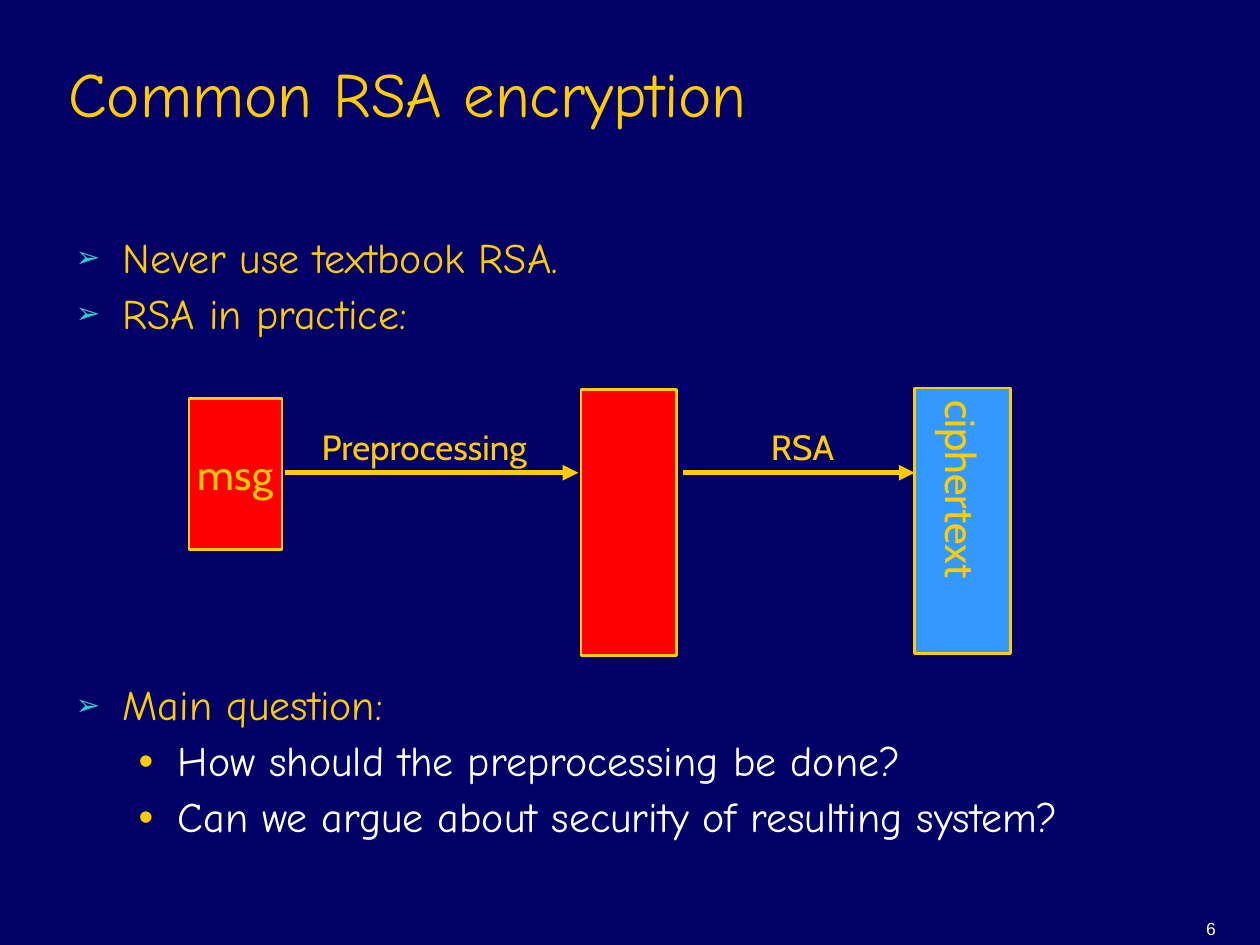
"""Build the slide on common RSA encryption."""
from lxml.etree import SubElement
from pptx import Presentation
from pptx.dml.color import RGBColor
from pptx.enum.shapes import MSO_CONNECTOR as Connector, MSO_SHAPE as Shape
from pptx.enum.text import MSO_ANCHOR as Anchor, MSO_AUTO_SIZE as AutoSize, PP_ALIGN as Align
from pptx.oxml.ns import qn
from pptx.util import Cm, Pt

NAVY = RGBColor(0x00, 0x00, 0x66)
GOLD = RGBColor(0xFF, 0xCC, 0x00)
TEAL = RGBColor(0x33, 0xCC, 0xCC)
RED = RGBColor(0xFF, 0x00, 0x00)
BLUE = RGBColor(0x33, 0x99, 0xFF)
WHITE = RGBColor(0xFF, 0xFF, 0xFF)

HEAD_FONT = "Comic Neue"
LABEL_FONT = "Cabin"
ARROW_Y = 9.53

BULLETS = [
    ("Never use textbook RSA.", 0, 6),
    ("RSA in practice:", 0, 6),
    ("Main question:", 0, 198),
    ("How should the preprocessing be done?", 1, 6),
    ("Can we argue about security of resulting system?", 1, 6),
]
LEVELS = [
    {"margin": 0.95, "hanging": 0.95, "mark": "➢", "mark_color": TEAL, "mark_size": 70, "color": GOLD},
    {"margin": 2.06, "hanging": 0.79, "mark": "•", "mark_color": GOLD, "mark_size": 100, "color": WHITE},
]


def place(item, left, top, width, height):
    """Move and size an item, in centimetres."""
    item.left, item.top, item.width, item.height = Cm(left), Cm(top), Cm(width), Cm(height)


def style(para, font, size, color, align=Align.LEFT, before=0):
    """Format a paragraph and its runs."""
    para.alignment = align
    para.space_before = Pt(before)
    for span in para.runs:
        span.font.name = font
        span.font.size = Pt(size)
        span.font.color.rgb = color


def set_bullet(para, level):
    """Give a paragraph the indent and bullet of its level."""
    props = para._p.get_or_add_pPr()
    props.set("marL", str(Cm(level["margin"])))
    props.set("indent", str(-Cm(level["hanging"])))
    color = SubElement(props, qn("a:buClr"))
    SubElement(color, qn("a:srgbClr"), val=str(level["mark_color"]))
    SubElement(props, qn("a:buSzPct"), val=str(level["mark_size"] * 1000))
    SubElement(props, qn("a:buFont"), typeface="Arial")
    SubElement(props, qn("a:buChar"), char=level["mark"])


def fill_title(page, text):
    """Write the slide title."""
    title = page.shapes.title
    place(title, 1.12, 0.64, 21.59, 2.11)
    frame = title.text_frame
    frame.text = text
    frame.auto_size = AutoSize.NONE
    frame.vertical_anchor = Anchor.BOTTOM
    style(frame.paragraphs[0], HEAD_FONT, 36, GOLD)


def fill_body(page):
    """Write the bulleted list."""
    body = page.placeholders[1]
    place(body, 1.27, 4.65, 22.71, 12.9)
    frame = body.text_frame
    frame.text = "\n".join(text for text, _, _ in BULLETS)
    frame.auto_size = AutoSize.NONE
    for para, (_, depth, before) in zip(frame.paragraphs, BULLETS):
        level = LEVELS[depth]
        para.level = depth
        para.line_spacing = 0.9
        style(para, HEAD_FONT, 24, level["color"], before=before)
        set_bullet(para, level)


def add_block(page, left, top, width, height, fill, text="", vertical=False):
    """Add an outlined rectangle with an optional label."""
    block = page.shapes.add_shape(Shape.RECTANGLE, Cm(left), Cm(top), Cm(width), Cm(height))
    block.shadow.inherit = False
    block.fill.solid()
    block.fill.fore_color.rgb = fill
    block.line.color.rgb = GOLD
    block.line.width = Pt(1.5)
    if text:
        frame = block.text_frame
        frame.text = text
        frame.word_wrap = False
        frame.vertical_anchor = Anchor.MIDDLE
        style(frame.paragraphs[0], LABEL_FONT, 24, GOLD, Align.CENTER, 15)
        if vertical:
            frame.margin_left = frame.margin_right = Cm(0.13)
            frame.margin_top = frame.margin_bottom = Cm(0.25)
            frame._txBody.bodyPr.set("vert", "eaVert")


def add_arrow(page, start, end):
    """Add a horizontal arrow between two blocks."""
    arrow = page.shapes.add_connector(Connector.STRAIGHT, Cm(start), Cm(ARROW_Y), Cm(end), Cm(ARROW_Y))
    arrow.line.color.rgb = GOLD
    arrow.line.width = Pt(3)
    SubElement(arrow.line._get_or_add_ln(), qn("a:tailEnd"), type="triangle")
    SubElement(arrow._element.spPr, qn("a:effectLst"))


def add_label(page, left, top, width, height, text, font, size, color, align, before,
              anchor=Anchor.TOP, wrap=False):
    """Add a one-line text box."""
    box = page.shapes.add_textbox(Cm(left), Cm(top), Cm(width), Cm(height))
    frame = box.text_frame
    frame.text = text
    frame.word_wrap = wrap
    frame.vertical_anchor = anchor
    style(frame.paragraphs[0], font, size, color, align, before)


def main():
    """Build and save the deck."""
    deck = Presentation()
    deck.slide_width, deck.slide_height = Cm(25.4), Cm(19.05)
    page = deck.slides.add_slide(deck.slide_layouts[1])
    page.background.fill.solid()
    page.background.fill.fore_color.rgb = NAVY

    fill_title(page, "Common RSA encryption")
    fill_body(page)

    add_block(page, 3.81, 8.03, 1.88, 3.05, RED, "msg")
    add_block(page, 11.71, 7.85, 1.93, 5.36, RED)
    add_block(page, 18.44, 7.82, 1.93, 5.36, BLUE, "ciphertext", vertical=True)

    for start, end in [(5.74, 11.66), (13.77, 18.44)]:
        add_arrow(page, start, end)
    for left, width, text in [(5.94, 5.23, "Preprocessing"), (15.29, 1.78, "RSA")]:
        add_label(page, left, 8.46, width, 1.12, text, LABEL_FONT, 20, GOLD, Align.CENTER, 12.5)

    add_label(page, 19.48, 17.78, 5.28, 1.27, "6", "Arial", 10, WHITE, Align.RIGHT, 6.2,
              Anchor.BOTTOM, wrap=True)
    deck.save("out.pptx")


if __name__ == "__main__":
    main()
